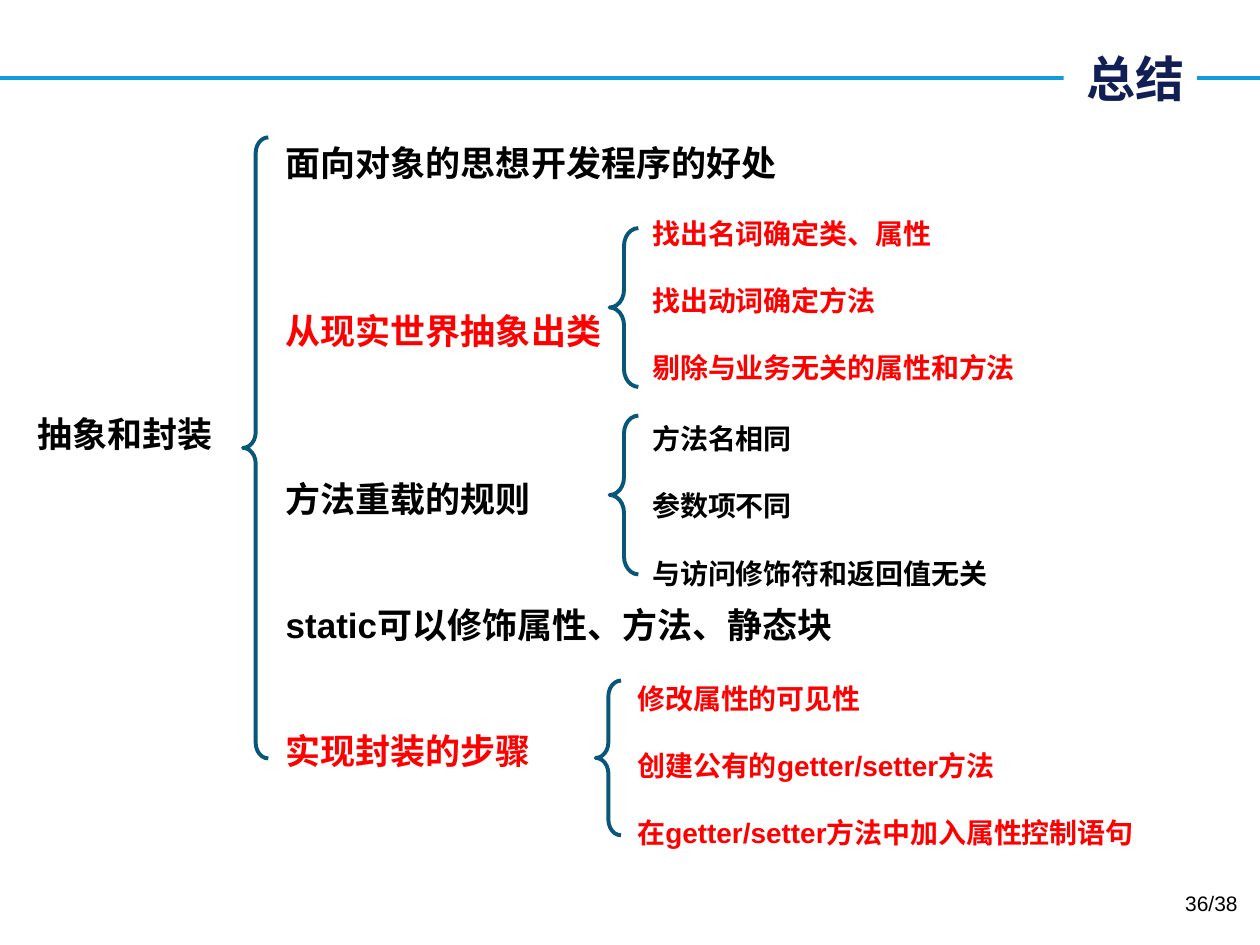
from lxml import etree
from pptx import Presentation
from pptx.dml.color import RGBColor
from pptx.enum.shapes import MSO_CONNECTOR, MSO_SHAPE
from pptx.enum.text import MSO_ANCHOR, PP_ALIGN
from pptx.oxml.ns import qn
from pptx.util import Cm, Pt

LEFT, CENTER, RIGHT = PP_ALIGN.LEFT, PP_ALIGN.CENTER, PP_ALIGN.RIGHT
TOP, MIDDLE = MSO_ANCHOR.TOP, MSO_ANCHOR.MIDDLE
STRAIGHT, LEFT_BRACE = MSO_CONNECTOR.STRAIGHT, MSO_SHAPE.LEFT_BRACE

LATIN_FONT, CHINESE_FONT = "Arial", "Noto Sans CJK SC"
BLACK, RED, WHITE = "000000", "FF0000", "FFFFFF"
NAVY, SKY, TEAL = "121F55", "0E9CDE", "08577A"
LINE_WIDTH = 2.25
LINE_HEIGHT = 1.2

TOPICS = [
    ("面向对象的思想开发程序的好处", BLACK, 0),
    ("从现实世界抽象出类", RED, 3),
    ("方法重载的规则", BLACK, 3),
    ("static可以修饰属性、方法、静态块", BLACK, 2),
    ("实现封装的步骤", RED, 2),
]
DETAILS = [
    (["找出名词确定类、属性", "找出动词确定方法", "剔除与业务无关的属性和方法"],
     RED, (12.9, 4.24, 9.02, 5.74), (12.29, 4.6, 0.58, 3.2)),
    (["方法名相同", "参数项不同", "与访问修饰符和返回值无关"],
     BLACK, (12.9, 8.38, 9.02, 5.21), (12.29, 8.38, 0.58, 3.2)),
    (["修改属性的可见性", "创建公有的getter/setter方法", "在getter/setter方法中加入属性控制语句"],
     RED, (12.6, 13.61, 11.71, 5.05), (12.01, 13.72, 0.51, 3.12)),
]


def rgb(color):
    """Turn a hex string into a colour."""
    return RGBColor.from_string(color)


def lengths(box):
    """Turn centimetre numbers into lengths."""
    return [Cm(value) for value in box]


def add_text(slide, box, rows, size=20, bold=True, font=LATIN_FONT,
             align=LEFT, anchor=TOP, fill=None):
    """Add a text box with rows of (text, colour, blank lines above)."""
    text_box = slide.shapes.add_textbox(*lengths(box))
    if fill:
        text_box.fill.solid()
        text_box.fill.fore_color.rgb = rgb(fill)
    frame = text_box.text_frame
    frame.word_wrap = True
    frame.vertical_anchor = anchor
    for index, (text, color, gap) in enumerate(rows):
        paragraph = frame.paragraphs[0] if index == 0 else frame.add_paragraph()
        paragraph.alignment = align
        paragraph.line_spacing = Pt(size * LINE_HEIGHT)
        paragraph.space_before = Pt(gap * size * LINE_HEIGHT)
        run = paragraph.add_run()
        run.text = text
        run.font.name = font
        run.font.size = Pt(size)
        run.font.bold = bold
        run.font.color.rgb = rgb(color)
        east_asian = etree.SubElement(run._r.get_or_add_rPr(), qn("a:ea"))
        east_asian.set("typeface", CHINESE_FONT)


def add_brace(slide, box):
    """Add a left brace that opens onto a list."""
    brace = slide.shapes.add_shape(LEFT_BRACE, *lengths(box))
    brace.shadow.inherit = False
    brace.fill.background()
    brace.line.color.rgb = rgb(TEAL)
    brace.line.width = Pt(LINE_WIDTH)
    brace.adjustments[0] = 0.62


def add_header(slide, title, width):
    """Add the rule across the slide and the title that interrupts it."""
    rule = slide.shapes.add_connector(STRAIGHT, 0, Cm(1.57), width, Cm(1.57))
    rule.line.color.rgb = rgb(SKY)
    rule.line.width = Pt(LINE_WIDTH)
    etree.SubElement(rule._element.spPr, qn("a:effectLst"))
    add_text(slide, (21.44, 0.76, 2.69, 1.63), [(title, NAVY, 0)], size=28,
             font=CHINESE_FONT, align=RIGHT, anchor=MIDDLE, fill=WHITE)


def add_details(slide, points, color, text_area, brace_area):
    """Add the points of one topic with their brace."""
    rows = [(point, color, min(index, 1)) for index, point in enumerate(points)]
    add_text(slide, text_area, rows, size=16)
    add_brace(slide, brace_area)


def main():
    """Build the summary slide."""
    presentation = Presentation()
    presentation.slide_width, presentation.slide_height = Cm(25.4), Cm(19.05)
    slide = presentation.slides.add_slide(presentation.slide_layouts[6])
    add_header(slide, "总结", presentation.slide_width)
    add_text(slide, (0, 8.2, 5.05, 1.12), [("抽象和封装", BLACK, 0)], align=CENTER)
    add_brace(slide, (4.9, 2.77, 0.51, 12.52))
    add_text(slide, (5.51, 2.72, 11.89, 16.3), TOPICS)
    for details in DETAILS:
        add_details(slide, *details)
    add_text(slide, (19.28, 17.83, 5.92, 1.02), [("36/38", BLACK, 0)],
             size=12, bold=False, align=RIGHT)
    presentation.save("out.pptx")


if __name__ == "__main__":
    main()
